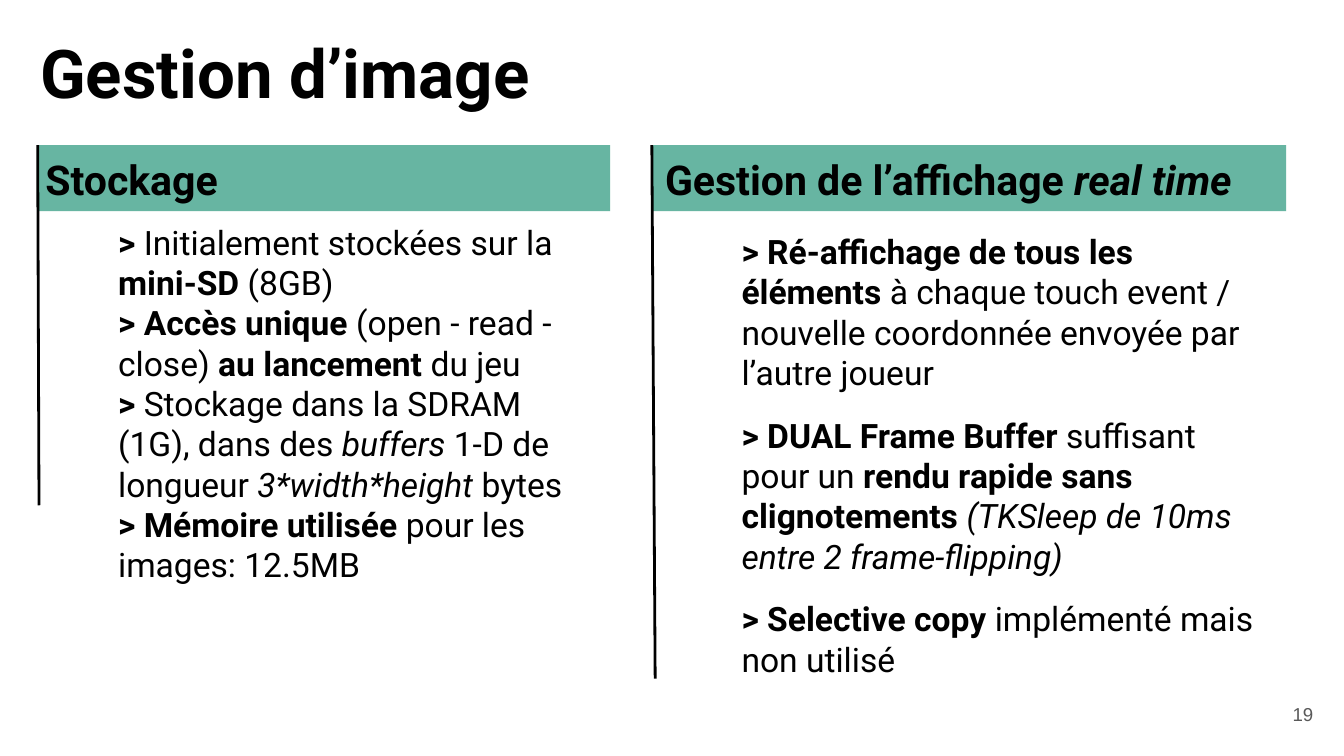
from dataclasses import dataclass
from typing import NamedTuple

import pptx
import pptx.dml.color
import pptx.enum.shapes
import pptx.enum.text
import pptx.oxml.ns
import pptx.util
from lxml import etree

Pt = pptx.util.Pt
RGB = pptx.dml.color.RGBColor.from_string
PP_ALIGN = pptx.enum.text.PP_ALIGN
ANCHOR = pptx.enum.text.MSO_ANCHOR
qn = pptx.oxml.ns.qn


@dataclass(frozen=True)
class Theme:
    ink: str = "000000"
    band: str = "46A58E"
    band_alpha: int = 82000
    number: str = "595959"
    font: str = "Roboto"
    number_font: str = "Arial"
    title_size: float = 36
    heading_size: float = 22
    body_size: float = 18
    number_size: float = 10
    rule_width: float = 1.5


THEME = Theme()


class Box(NamedTuple):
    left: float
    top: float
    width: float
    height: float


class Run(NamedTuple):
    text: str
    bold: bool = False
    italic: bool = False


@dataclass(frozen=True)
class Style:
    size: float
    font: str = THEME.font
    color: str = THEME.ink
    align: PP_ALIGN = PP_ALIGN.LEFT
    anchor: ANCHOR = ANCHOR.TOP
    indent: int = 0
    gap: float = 0


@dataclass(frozen=True)
class Column:
    band: Box
    heading_box: Box
    heading: list[Run]
    rule_lean: float
    rule_bottom: float
    body_box: Box
    gap: float
    points: list[list[Run]]


def add_text(slide, box: Box, paragraphs: list[list[Run]], style: Style) -> None:
    frame = slide.shapes.add_textbox(*map(Pt, box)).text_frame
    frame_format = {"word_wrap": True, "vertical_anchor": style.anchor}
    frame_format |= {f"margin_{side}": Pt(7.2) for side in ("left", "top", "right", "bottom")}
    for name, value in frame_format.items():
        setattr(frame, name, value)
    for index, runs in enumerate(paragraphs):
        paragraph = frame.add_paragraph() if index else frame.paragraphs[0]
        paragraph.alignment = style.align
        paragraph.space_before = Pt(style.gap if index else 0)
        if style.indent:
            properties = paragraph._p.get_or_add_pPr()
            properties.set("marL", str(Pt(style.indent)))
            properties.set("indent", "0")
        for part in runs:
            run = paragraph.add_run()
            run.text = part.text
            font_format = {"name": style.font, "size": Pt(style.size),
                           "bold": part.bold, "italic": part.italic}
            for name, value in font_format.items():
                setattr(run.font, name, value)
            run.font.color.rgb = RGB(style.color)


def add_band(slide, box: Box) -> None:
    band = slide.shapes.add_shape(pptx.enum.shapes.MSO_SHAPE.RECTANGLE, *map(Pt, box))
    band.shadow.inherit = False
    band.fill.solid()
    band.fill.fore_color.rgb = RGB(THEME.band)
    color = band._element.spPr.find(".//" + qn("a:srgbClr"))
    etree.SubElement(color, qn("a:alpha"), val=str(THEME.band_alpha))
    band.line.fill.background()


def add_rule(slide, column: Column) -> None:
    left, top = column.band.left, column.band.top
    ends = (left, top, left + column.rule_lean, column.rule_bottom)
    rule = slide.shapes.add_connector(pptx.enum.shapes.MSO_CONNECTOR.STRAIGHT, *map(Pt, ends))
    rule.line.color.rgb = RGB(THEME.ink)
    rule.line.width = Pt(THEME.rule_width)
    etree.SubElement(rule._element.spPr, qn("a:effectLst"))


def add_column(slide, column: Column) -> None:
    add_band(slide, column.band)
    add_text(slide, column.heading_box, [column.heading], Style(THEME.heading_size))
    add_rule(slide, column)
    add_text(slide, column.body_box, column.points,
             Style(THEME.body_size, indent=36, gap=column.gap))


# Content of the two columns
STORAGE = Column(
    band=Box(20.2, 77.8, 306.7, 35.3),
    heading_box=Box(17.3, 75.6, 321, 37.4),
    heading=[Run("Stockage", bold=True)],
    rule_lean=0.7,
    rule_bottom=270.7,
    body_box=Box(20.2, 111.6, 290.9, 157),
    gap=0,
    points=[
        [Run(">", bold=True), Run(" Initialement stockées sur la "),
         Run("mini-SD ", bold=True), Run("(8GB)")],
        [Run("> Accès unique", bold=True), Run(" (open - read - close) "),
         Run("au lancement", bold=True), Run(" du jeu")],
        [Run(">", bold=True), Run(" Stockage dans la SDRAM (1G), dans des "),
         Run("buffers ", italic=True), Run("1-D de longueur "),
         Run("3*width*height", italic=True), Run(" bytes")],
        [Run("> Mémoire utilisée ", bold=True), Run("pour les images: 12.5MB")],
    ],
)
DISPLAY = Column(
    band=Box(349.2, 77.8, 339.8, 35.3),
    heading_box=Box(349.2, 75.6, 339.8, 35.3),
    heading=[Run("Gestion de l’affichage ", bold=True),
             Run("real time", bold=True, italic=True)],
    rule_lean=1.8,
    rule_bottom=363.6,
    body_box=Box(354.2, 116.6, 329, 217.4),
    gap=12,
    points=[
        [Run("> Ré-affichage de tous les éléments", bold=True),
         Run(" à chaque touch event / nouvelle coordonnée envoyée par l’autre joueur")],
        [Run("> DUAL Frame Buffer", bold=True), Run(" suffisant pour un "),
         Run("rendu rapide sans clignotements ", bold=True),
         Run("(TKSleep de 10ms entre 2 frame-flipping)", italic=True)],
        [Run("> Selective copy ", bold=True), Run("implémenté mais non utilisé")],
    ],
)


def main() -> None:
    deck = pptx.Presentation()
    deck.slide_width, deck.slide_height = Pt(720), Pt(405)
    slide = deck.slides.add_slide(deck.slide_layouts[6])

    # Title
    add_text(slide, Box(14.4, 9.4, 671, 45.4), [[Run("Gestion d’image", bold=True)]],
             Style(THEME.title_size))

    # Columns
    for column in (STORAGE, DISPLAY):
        add_column(slide, column)

    # Slide number
    add_text(slide, Box(667.4, 367.2, 43.2, 31), [[Run("19")]],
             Style(THEME.number_size, THEME.number_font, THEME.number,
                   PP_ALIGN.RIGHT, ANCHOR.MIDDLE))

    deck.save("out.pptx")


if __name__ == "__main__":
    main()
